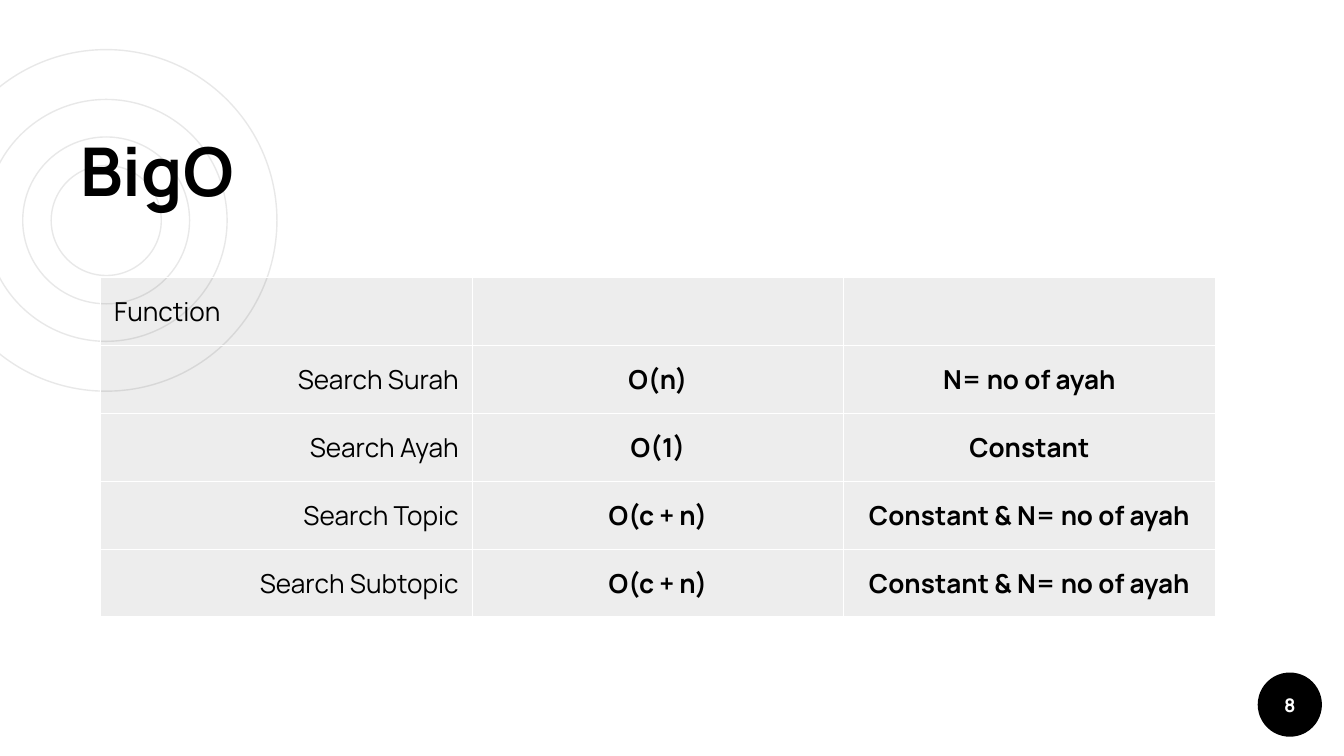
from lxml import etree
from pptx import Presentation
from pptx.dml.color import RGBColor
from pptx.enum.shapes import MSO_SHAPE
from pptx.enum.text import MSO_ANCHOR, PP_ALIGN
from pptx.oxml.ns import qn
from pptx.util import Pt

OVAL = MSO_SHAPE.OVAL
MIDDLE, BOTTOM = MSO_ANCHOR.MIDDLE, MSO_ANCHOR.BOTTOM
LEFT, CENTER, RIGHT = PP_ALIGN.LEFT, PP_ALIGN.CENTER, PP_ALIGN.RIGHT
FONT = "Manrope"
COLORS = {"ink": "000000", "paper": "FFFFFF", "ring": "E8E8E8"}


def add_run(paragraph, text, size, color, bold, align=LEFT):
    paragraph.alignment = align
    run = paragraph.add_run()
    run.text = text
    run.font.name = FONT
    run.font.size = Pt(size)
    run.font.bold = bold
    run.font.color.rgb = RGBColor.from_string(COLORS[color])


def add_text_box(slide, box, anchor):
    frame = slide.shapes.add_textbox(*[Pt(length) for length in box]).text_frame
    frame.word_wrap = True
    frame.vertical_anchor = anchor
    frame.margin_left = frame.margin_right = Pt(7.2)
    frame.margin_top = frame.margin_bottom = Pt(7.2)
    return frame.paragraphs[0]


presentation = Presentation()
presentation.slide_width = Pt(720)
presentation.slide_height = Pt(405)
slide = presentation.slides.add_slide(presentation.slide_layouts[6])
slide.background.fill.solid()
slide.background.fill.fore_color.rgb = RGBColor.from_string(COLORS["paper"])

# Concentric rings
center_x, center_y = 56.9, 118.1
for diameter in (183, 59, 129.6, 89.4):
    ring = slide.shapes.add_shape(
        OVAL, Pt(center_x - diameter / 2), Pt(center_y - diameter / 2),
        Pt(diameter), Pt(diameter))
    ring.shadow.inherit = False
    ring.fill.background()
    ring.line.color.rgb = RGBColor.from_string(COLORS["ring"])
    ring.line.width = Pt(0.75)

# Page badge
badge_box = (673.8, 360.3, 34.4, 34.4)
badge = slide.shapes.add_shape(OVAL, *[Pt(length) for length in badge_box])
badge.shadow.inherit = False
badge.fill.solid()
badge.fill.fore_color.rgb = RGBColor.from_string(COLORS["ink"])
badge.line.fill.background()

# Title and page number
title = add_text_box(slide, (36, 60.5, 411, 59), BOTTOM)
add_run(title, "BigO", 36, "ink", True)
page_number = add_text_box(slide, badge_box, MIDDLE)
add_run(page_number, "8", 10, "paper", True, CENTER)

# Complexity table
rows = [
    ("Function", "", ""),
    ("Search Surah", "O(n)", "N= no of ayah"),
    ("Search Ayah", "O(1)", "Constant"),
    ("Search Topic", "O(c + n)", "Constant & N= no of ayah"),
    ("Search Subtopic", "O(c + n)", "Constant & N= no of ayah"),
]
column_width, row_height = 199, 36.4
table = slide.shapes.add_table(
    len(rows), 3, Pt(54), Pt(148.6),
    Pt(3 * column_width), Pt(len(rows) * row_height)).table
table.first_row = False
table.horz_banding = False
for column in table.columns:
    column.width = Pt(column_width)

for row_index, texts in enumerate(rows):
    table.rows[row_index].height = Pt(row_height)
    for column_index, text in enumerate(texts):
        cell = table.cell(row_index, column_index)
        cell.vertical_anchor = MIDDLE
        cell.margin_left = cell.margin_right = Pt(7.2)
        cell.margin_top = cell.margin_bottom = Pt(5)
        if text:
            align = CENTER if column_index else RIGHT if row_index else LEFT
            add_run(cell.text_frame.paragraphs[0], text, 14, "ink",
                    column_index > 0, align)

        # Translucent fill, so that the rings show through
        cell.fill.solid()
        cell.fill.fore_color.rgb = RGBColor.from_string(COLORS["ink"])
        properties = cell._tc.get_or_add_tcPr()
        fill_color = properties.find(".//" + qn("a:srgbClr"))
        etree.SubElement(fill_color, qn("a:alpha"), val="7000")

        # White borders, placed ahead of the fill
        for position, tag in enumerate(("a:lnL", "a:lnR", "a:lnT", "a:lnB")):
            border = etree.Element(qn(tag), w=str(Pt(0.75)))
            border_fill = etree.SubElement(border, qn("a:solidFill"))
            etree.SubElement(border_fill, qn("a:srgbClr"), val=COLORS["paper"])
            properties.insert(position, border)

presentation.save("out.pptx")
